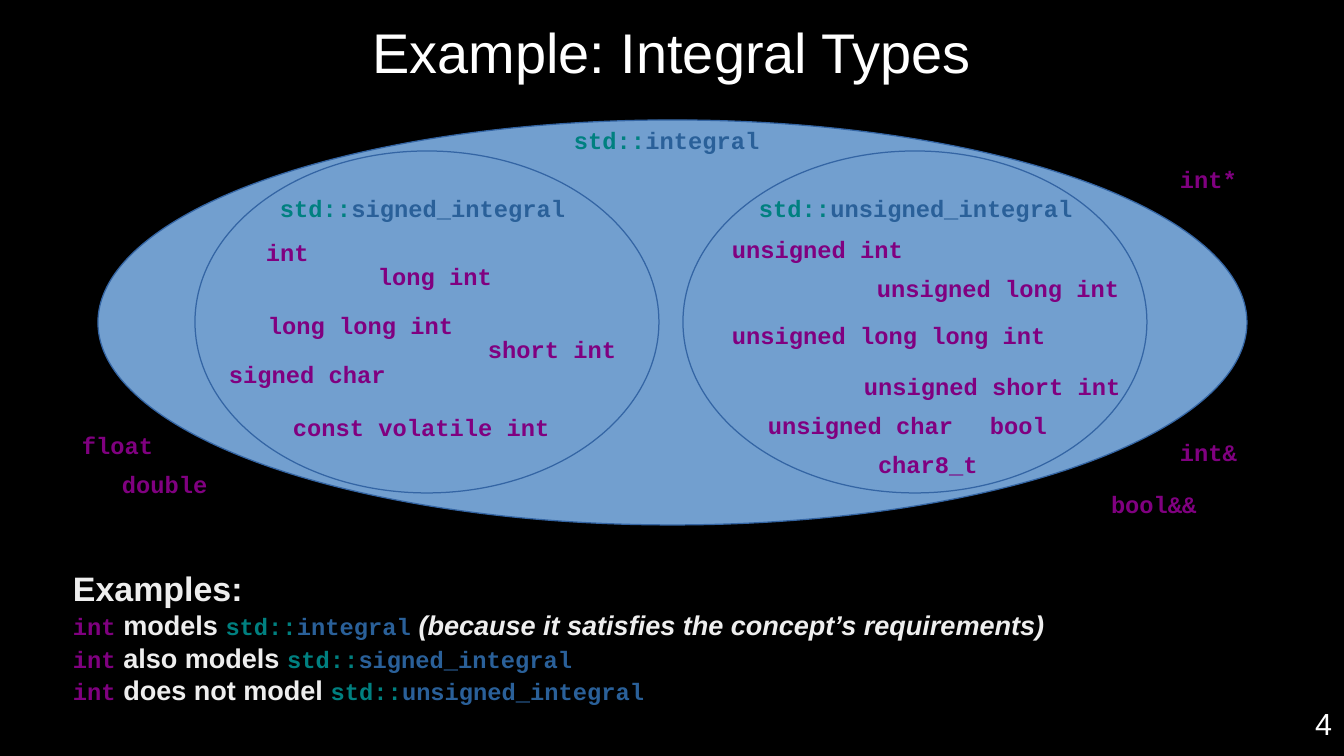
from pptx import Presentation
from pptx.dml.color import RGBColor
from pptx.enum.shapes import MSO_SHAPE
from pptx.enum.text import MSO_ANCHOR, PP_ALIGN
from pptx.util import Pt

SCALE = 914400 / 122
PAD = (12, 6, 12, 6)
SANS, MONO = "Arial", "Courier New"

# Run styles: font, size, colour, bold, italic
TYPE = (MONO, 14, "800080", True, False)
SPACE = (MONO, 14, "008080", True, False)
NAME = (MONO, 14, "2A6099", True, False)
HEAD = (SANS, 20, "EEEEEE", True, False)
BODY = (SANS, 16, "EEEEEE", True, False)
NOTE = (SANS, 16, "EEEEEE", True, True)
TITLE = (SANS, 33, "FFFFFF", False, False)
PAGE = (SANS, 18, "FFFFFF", False, False)


def px(n):
    return round(n * SCALE)


def color(code):
    return RGBColor.from_string(code)


def write(slide, box, lines, align=PP_ALIGN.LEFT, anchor=MSO_ANCHOR.TOP, pad=PAD):
    """Each line is a list of (text, style) runs."""
    frame = slide.shapes.add_textbox(*map(px, box)).text_frame
    frame.word_wrap = True
    frame.vertical_anchor = anchor
    frame.margin_left, frame.margin_top, frame.margin_right, frame.margin_bottom = map(px, pad)
    for i, line in enumerate(lines):
        para = frame.add_paragraph() if i else frame.paragraphs[0]
        para.alignment = align
        for text, (face, size, code, bold, slant) in line:
            run = para.add_run()
            run.text = text
            font = run.font
            font.name, font.size = face, Pt(size)
            font.bold, font.italic = bold, slant
            font.color.rgb = color(code)


def concept(name):
    return [("std::", SPACE), (name, NAME)]


def types(slide, box, items):
    """Scatter type names, each at x, y and width within the box."""
    for text, x, y, wide in items:
        write(slide, (box[0] + x, box[1] + y, wide, 39), [[(text, TYPE)]])


def group(slide, box, name, x, y, wide, items=()):
    """An ellipse for one concept, with its name and member types."""
    oval = slide.shapes.add_shape(MSO_SHAPE.OVAL, *map(px, box))
    oval.shadow.inherit = False
    oval.fill.solid()
    oval.fill.fore_color.rgb = color("729FCF")
    oval.line.color.rgb = color("3465A4")
    oval.line.width = 0
    write(slide, (box[0] + x, box[1] + y, wide, 39), [concept(name)])
    types(slide, box, items)


def diagram(slide, box):
    left, top, wide, high = box
    group(slide, box, "integral", 464, 0, 220)
    # Signed and unsigned subsets
    group(slide, (left + 97, top + 31, 464, 342), "signed_integral", 73, 37, 317, [
        ("int", 59, 81, 76),
        ("long int", 171, 105, 146),
        ("long long int", 61, 154, 220),
        ("short int", 281, 178, 159),
        ("signed char", 22, 203, 185),
        ("const volatile int", 86, 256, 288),
    ])
    group(slide, (left + 585, top + 31, 464, 342), "unsigned_integral", 64, 37, 339, [
        ("unsigned int", 37, 78, 198),
        ("unsigned long int", 182, 117, 282),
        ("unsigned long long int", 37, 164, 342),
        ("unsigned short int", 169, 215, 283),
        ("unsigned char", 73, 254, 212),
        ("bool", 295, 254, 83),
        ("char8_t", 183, 293, 131),
    ])
    # Types outside the concept
    types(slide, box, [
        ("int*", 1070, 39, 89),
        ("int&", 1070, 312, 89),
        ("bool&&", 1001, 364, 133),
        ("float", -28, 305, 101),
        ("double", 12, 344, 113),
    ])


def examples(slide, box):
    lines = [[("Examples:", HEAD)]]
    for verb, name, note in [
        (" models ", "integral", " (because it satisfies the concept’s requirements)"),
        (" also models ", "signed_integral", ""),
        (" does not model ", "unsigned_integral", ""),
    ]:
        line = [("int", TYPE), (verb, BODY)] + concept(name)
        lines.append(line + [(note, NOTE)] if note else line)
    write(slide, box, lines, pad=(0, 3, 0, 0))


def main():
    deck = Presentation()
    deck.slide_width, deck.slide_height = px(1344), px(756)
    slide = deck.slides.add_slide(deck.slide_layouts[6])
    back = slide.background.fill
    back.solid()
    back.fore_color.rgb = color("000000")

    # Title and page number
    write(slide, (67, 4, 1210, 95), [[("Example: Integral Types", TITLE)]],
          align=PP_ALIGN.CENTER, anchor=MSO_ANCHOR.MIDDLE, pad=(0, 0, 0, 0))
    write(slide, (833, 699, 511, 57), [[("4", PAGE)]], align=PP_ALIGN.RIGHT)

    diagram(slide, (98, 120, 1149, 405))
    examples(slide, (73, 565, 1210, 167))
    deck.save("out.pptx")


if __name__ == "__main__":
    main()
